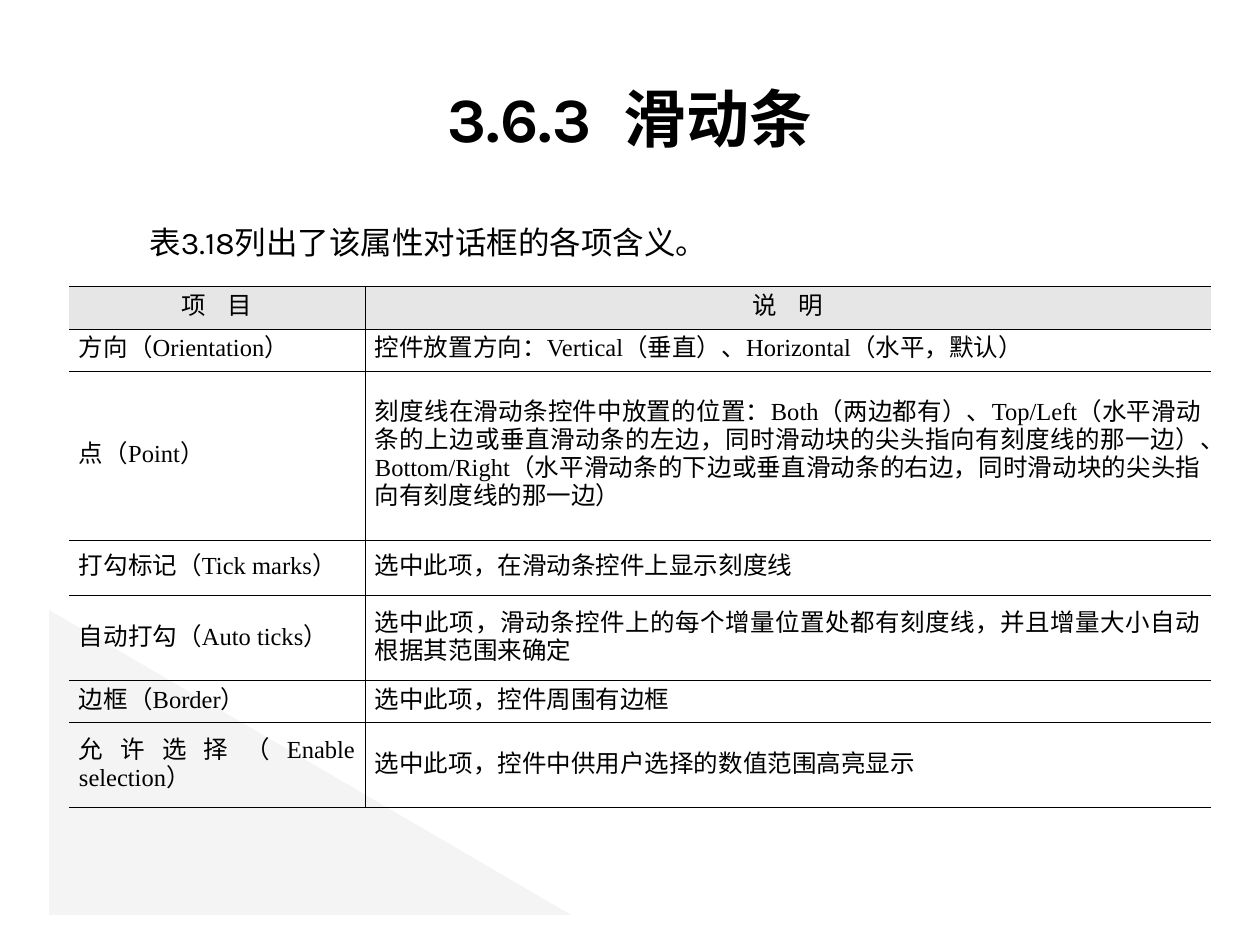
import pptx
import pptx.dml.color
import pptx.enum.shapes
import pptx.enum.text
import pptx.oxml
import pptx.oxml.ns
import pptx.util

SCALE = 914400 / 126
COLORS = {"text": "000000", "line": "000000", "header": "E6E6E6", "triangle": "F2F2F2"}
NO_STYLE = "{2D5ABB26-0587-4C30-8999-92F81FD0307C}"
ALIGN = pptx.enum.text.PP_ALIGN
MIDDLE = pptx.enum.text.MSO_ANCHOR.MIDDLE
COLUMNS = [296, 846]
ROWS = [
    (43, "项    目", "说    明"),
    (42, "方向（Orientation）", "控件放置方向：Vertical（垂直）、Horizontal（水平，默认）"),
    (169, "点（Point）",
     "刻度线在滑动条控件中放置的位置：Both（两边都有）、Top/Left（水平滑动条的上边或垂直滑动条的左边，"
     "同时滑动块的尖头指向有刻度线的那一边）、Bottom/Right（水平滑动条的下边或垂直滑动条的右边，"
     "同时滑动块的尖头指向有刻度线的那一边）"),
    (56, "打勾标记（Tick marks）", "选中此项，在滑动条控件上显示刻度线"),
    (85, "自动打勾（Auto ticks）",
     "选中此项，滑动条控件上的每个增量位置处都有刻度线，并且增量大小自动根据其范围来确定"),
    (42, "边框（Border）", "选中此项，控件周围有边框"),
    (85, "允许选择（Enable selection）", "选中此项，控件中供用户选择的数值范围高亮显示"),
]


def px(n):
    """Convert pixels to EMU."""
    return pptx.util.Emu(round(n * SCALE))


def rgb(name):
    """Look up a named colour."""
    return pptx.dml.color.RGBColor.from_string(COLORS[name])


def set_text(tf, text, size, font, align, bold=False):
    """Write one formatted paragraph and return it."""
    tf.text = text
    p = tf.paragraphs[0]
    p.alignment = align
    p.font.size = pptx.util.Pt(size)
    p.font.name = font
    p.font.bold = bold
    p.font.color.rgb = rgb("text")
    return p


def add_triangle(s, x, y, w, h):
    """Add the translucent corner triangle behind everything else."""
    sp = s.shapes.add_shape(pptx.enum.shapes.MSO_SHAPE.RIGHT_TRIANGLE, px(x), px(y), px(w), px(h))
    sp.shadow.inherit = False
    sp.line.fill.background()
    sp.fill.solid()
    sp.fill.fore_color.rgb = rgb("triangle")
    color = sp._element.spPr.find(".//" + pptx.oxml.ns.qn("a:srgbClr"))
    color.append(pptx.oxml.parse_xml(f'<a:alpha {pptx.oxml.ns.nsdecls("a")} val="83000"/>'))
    s.shapes._spTree.insert(2, sp._element)


def set_title(s, text, x, y, w, h):
    """Place and format the title placeholder."""
    sp = s.shapes.title
    sp.left, sp.top, sp.width, sp.height = px(x), px(y), px(w), px(h)
    sp.text_frame.vertical_anchor = MIDDLE
    set_text(sp.text_frame, text, 36, "Karla", ALIGN.CENTER, True)


def add_caption(s, text, x, y, w, h):
    """Add the one-line table caption."""
    tf = s.shapes.add_textbox(px(x), px(y), px(w), px(h)).text_frame
    tf.word_wrap = False
    set_text(tf, text, 18, "Karla", ALIGN.LEFT)


def set_borders(cell, sides):
    """Draw thin lines on the given sides of a cell."""
    tcPr = cell._tc.get_or_add_tcPr()
    for side in sides:
        tcPr.append(pptx.oxml.parse_xml(
            f'<a:ln{side} {pptx.oxml.ns.nsdecls("a")} w="{pptx.util.Pt(0.45)}"><a:solidFill>'
            f'<a:srgbClr val="{COLORS["line"]}"/></a:solidFill></a:ln{side}>'))


def fill_cell(cell, text, is_header, sides):
    """Format one table cell."""
    set_borders(cell, sides)
    if is_header:
        cell.fill.solid()
        cell.fill.fore_color.rgb = rgb("header")
    else:
        cell.fill.background()
    cell.vertical_anchor = MIDDLE
    cell.margin_left = cell.margin_right = px(10)
    cell.margin_top = cell.margin_bottom = px(6)
    align = ALIGN.CENTER if is_header else ALIGN.JUSTIFY
    p = set_text(cell.text_frame, text, 14, "Times New Roman", align)
    p.line_spacing = pptx.util.Pt(16)


def add_table(s, x, y):
    """Add the table of property meanings."""
    height = sum(row[0] for row in ROWS)
    table = s.shapes.add_table(len(ROWS), len(COLUMNS), px(x), px(y), px(sum(COLUMNS)), px(height)).table
    table._tbl.tblPr.find(pptx.oxml.ns.qn("a:tableStyleId")).text = NO_STYLE
    table.horz_banding = False
    for column, width in zip(table.columns, COLUMNS):
        column.width = px(width)
    for i, (row_height, *texts) in enumerate(ROWS):
        table.rows[i].height = px(row_height)
        for j, text in enumerate(texts):
            fill_cell(table.cell(i, j), text, i == 0, ("R", "L")[j] + "TB")


def main():
    """Build and save the slide."""
    prs = pptx.Presentation()
    prs.slide_width, prs.slide_height = px(1260), px(945)
    s = prs.slides.add_slide(prs.slide_layouts[5])
    add_triangle(s, 49, 610, 522, 305)
    set_title(s, "3.6.3  滑动条", 63, 38, 1134, 158)
    add_caption(s, "表3.18列出了该属性对话框的各项含义。", 137, 217, 606, 50)
    add_table(s, 69, 286)
    prs.save("out.pptx")


if __name__ == "__main__":
    main()
